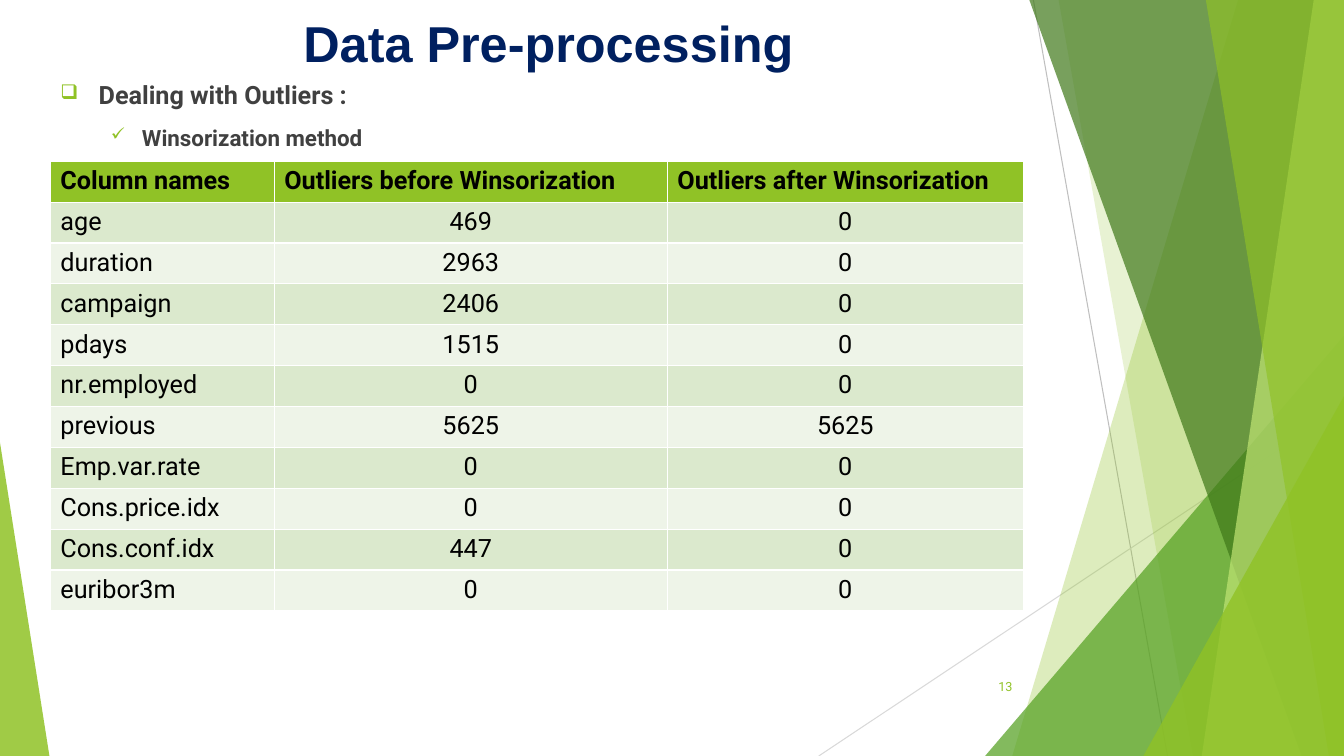
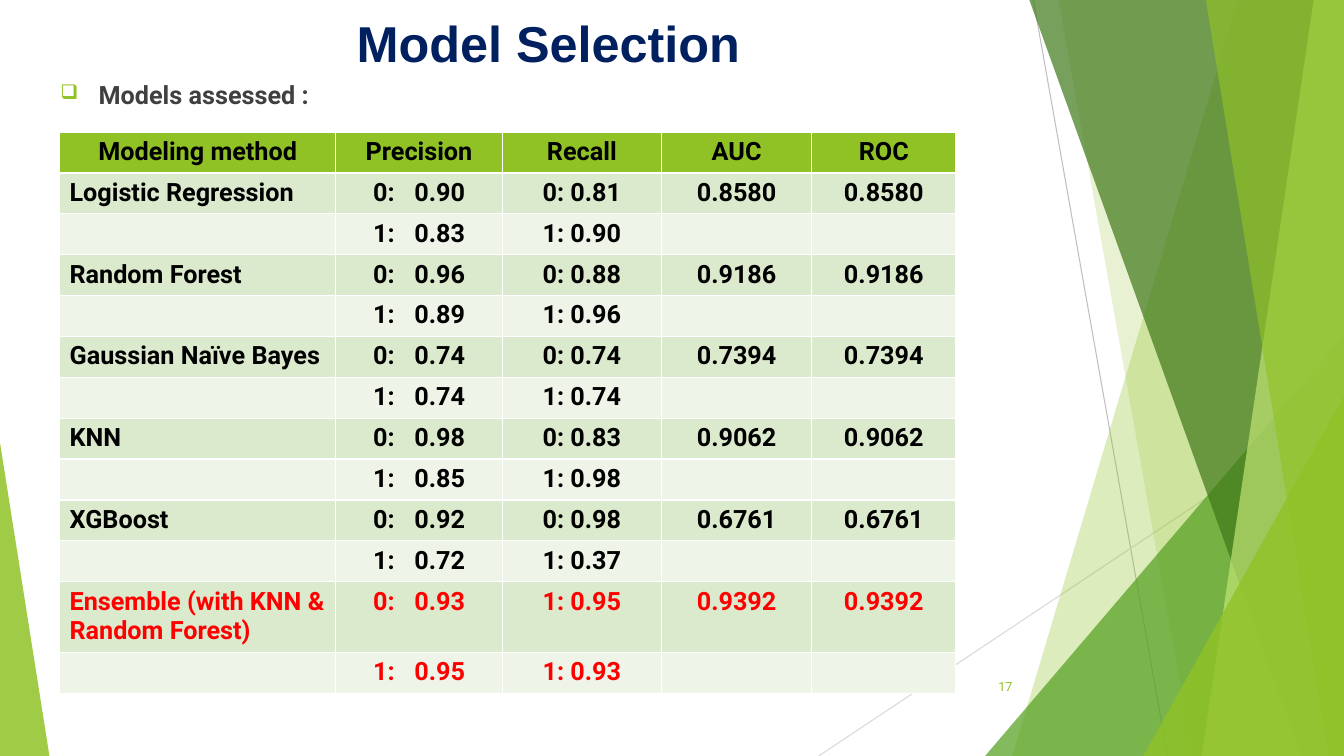
from lxml.etree import SubElement as Sub
from pptx import Presentation
from pptx.dml.color import RGBColor
from pptx.enum.shapes import MSO_CONNECTOR as CONN, MSO_SHAPE as SHAPE
from pptx.enum.text import MSO_ANCHOR as ANCHOR, PP_ALIGN as ALIGN
from pptx.oxml.ns import qn
from pptx.util import Inches, Pt

# Colours
LIME = RGBColor(0x90, 0xC2, 0x26)
GREEN = RGBColor(0x54, 0xA0, 0x21)
FOREST = RGBColor(0x3F, 0x78, 0x19)
PALE_LIME = RGBColor(0xC0, 0xE4, 0x74)
SILVER = RGBColor(0xBF, 0xBF, 0xBF)
LIGHT_GREY = RGBColor(0xD9, 0xD9, 0xD9)
NAVY = RGBColor(0x00, 0x20, 0x60)
DARK_GREY = RGBColor(0x40, 0x40, 0x40)
BLACK = RGBColor(0, 0, 0)
RED = RGBColor(0xFF, 0, 0)
ROW_FILLS = [RGBColor(0xEE, 0xF4, 0xE8), RGBColor(0xDB, 0xE9, 0xCD)]

# Text formats
TITLE = dict(size=Pt(36), name="Arial", bold=True)
HEADING = dict(size=Pt(18), name="Roboto", bold=True)
SUBHEADING = dict(size=Pt(16), name="Roboto", bold=True)
PLAIN = dict(size=Pt(18), name="Roboto", bold=False)
NUMBER = dict(size=Pt(9), name="Roboto")

# Bullet levels: character, left margin, hanging indent, format
LEVELS = [("❑", 0.38, 0.38, HEADING), ("✓", 0.81, 0.31, SUBHEADING)]

# Backdrop, in percent of the slide: lines run from x, y to x, y
LINES = [(76.89, 0, 86.87, 100, SILVER), (100, 53.73, 60.92, 100, LIGHT_GREY)]
# band: top x and bottom x; right and left: inner corner x and apex y
PANES = [
    ("band", 92.12, 75.32, LIME, 30),
    ("band", 78.77, 88.75, LIME, 20),
    ("right", 73.3, 44.4, GREEN, 72),
    ("band", 76.59, 96.85, FOREST, 70),
    ("band", 97.75, 89.42, PALE_LIME, 70),
    ("band", 89.72, 98.87, LIME, 65),
    ("right", 85.07, 52.4, LIME, 80),
    ("left", 3.68, 58.53, LIME, 85),
]
ROW_H = 5.41

# Table contents
outliers = [
    ("Column names", "Outliers before Winsorization", "Outliers after Winsorization"),
    ("age", "469", "0"),
    ("duration", "2963", "0"),
    ("campaign", "2406", "0"),
    ("pdays", "1515", "0"),
    ("nr.employed", "0", "0"),
    ("previous", "5625", "5625"),
    ("Emp.var.rate", "0", "0"),
    ("Cons.price.idx", "0", "0"),
    ("Cons.conf.idx", "447", "0"),
    ("euribor3m", "0", "0"),
]
models = [("Modeling method", "Precision", "Recall", "AUC", "ROC")]
for name, prec_0, prec_1, recall_a, recall_b, score in [
    ("Logistic Regression", "0.90", "0.83", "0: 0.81", "1: 0.90", "0.8580"),
    ("Random Forest", "0.96", "0.89", "0: 0.88", "1: 0.96", "0.9186"),
    ("Gaussian Naïve Bayes", "0.74", "0.74", "0: 0.74", "1: 0.74", "0.7394"),
    ("KNN", "0.98", "0.85", "0: 0.83", "1: 0.98", "0.9062"),
    ("XGBoost", "0.92", "0.72", "0: 0.98", "1: 0.37", "0.6761"),
    ("Ensemble (with KNN & Random Forest)", "0.93", "0.95", "1: 0.95", "1: 0.93", "0.9392"),
]:
    models.append((name, "0:\t" + prec_0, recall_a, score, score))
    models.append(("", "1:\t" + prec_1, recall_b, "", ""))

SLIDES = [
    dict(title="Data Pre-processing", number="13",
         bullets=["Dealing with Outliers :", "Winsorization method"],
         rows=outliers, left=3.75, top=21.33, cols=[16.65, 29.26, 26.48],
         head_align=ALIGN.LEFT, body=PLAIN, red_from=len(outliers)),
    dict(title="Model Selection", number="17", bullets=["Models assessed :"],
         rows=models, left=4.43, top=17.47,
         cols=[20.56, 12.38, 11.85, 11.18, 10.73],
         head_align=ALIGN.CENTER, body=HEADING, red_from=len(models) - 2),
]

prs = Presentation()
prs.slide_width, prs.slide_height = Inches(13.33), Inches(7.5)


def share(*percents):
    """Turn alternating x and y percentages into slide lengths."""
    sides = (prs.slide_width, prs.slide_height)
    return [int(sides[i % 2] * v / 100) for i, v in enumerate(percents)]


def write(p, text, fmt, colour, align):
    p.alignment = align
    r = p.add_run()
    r.text = text
    for key, value in fmt.items():
        setattr(r.font, key, value)
    r.font.color.rgb = colour


for page in SLIDES:
    s = prs.slides.add_slide(prs.slide_layouts[6])

    # Backdrop lines
    for x1, y1, x2, y2, colour in LINES:
        ln = s.shapes.add_connector(CONN.STRAIGHT, *share(x1, y1, x2, y2))
        ln.line.color.rgb, ln.line.width = colour, Pt(0.75)
        Sub(ln._element.spPr, qn("a:effectLst"))

    # Translucent panes
    for kind, a, b, colour, opacity in PANES:
        if kind == "band":
            fb = s.shapes.build_freeform(*share(a, 0))
            corners = [share(100, 0), share(100, 100), share(b, 100)]
            fb.add_line_segments(corners, close=True)
            sp = fb.convert_to_shape()
        else:
            x, w = (a, 100 - a) if kind == "right" else (0, a)
            sp = s.shapes.add_shape(SHAPE.ISOSCELES_TRIANGLE, *share(x, b, w, 100 - b))
            sp.adjustments[0] = 1 if kind == "right" else 0
        sp.shadow.inherit = False
        sp.fill.solid()
        sp.fill.fore_color.rgb = colour
        sp.line.fill.background()
        clr = sp._element.spPr.find(qn("a:solidFill"))[0]
        Sub(clr, qn("a:alpha"), val=str(opacity * 1000))

    # Title and slide number
    for area, text, fmt, colour, align in [
        ((5.55, 0.53, 70.52, 10.27), page["title"], TITLE, NAVY, ALIGN.CENTER),
        ((70.44, 88.13, 5.63, 5.33), page["number"], NUMBER, LIME, ALIGN.RIGHT),
    ]:
        tf = s.shapes.add_textbox(*share(*area)).text_frame
        tf.word_wrap, tf.vertical_anchor = True, ANCHOR.MIDDLE
        write(tf.paragraphs[0], text, fmt, colour, align)

    # Bullets
    tf = s.shapes.add_textbox(*share(3.75, 9.87, 74.49, 80.4)).text_frame
    tf.word_wrap = True
    for i, text in enumerate(page["bullets"]):
        char, margin, hang, fmt = LEVELS[i]
        p = tf.paragraphs[0] if i == 0 else tf.add_paragraph()
        p.level, p.space_before = i, Pt(10)
        write(p, text, fmt, DARK_GREY, ALIGN.JUSTIFY)
        pPr = p._p.get_or_add_pPr()
        pPr.set("marL", str(Inches(margin)))
        pPr.set("indent", str(-Inches(hang)))
        Sub(Sub(pPr, qn("a:buClr")), qn("a:srgbClr"), val=str(LIME))
        Sub(pPr, qn("a:buSzPct"), val="80000")
        Sub(pPr, qn("a:buChar"), char=char)

    # Table
    rows, cols = page["rows"], page["cols"]
    area = share(page["left"], page["top"], sum(cols), ROW_H * len(rows))
    table = s.shapes.add_table(len(rows), len(cols), *area).table
    for column, width in zip(table.columns, cols):
        column.width = share(width)[0]
    for i, row in enumerate(rows):
        for j, text in enumerate(row):
            cell = table.cell(i, j)
            cell.fill.solid()
            cell.fill.fore_color.rgb = ROW_FILLS[i % 2] if i else LIME
            if not text:
                continue
            p = cell.text_frame.paragraphs[0]
            align = ALIGN.CENTER if j else ALIGN.LEFT
            if i == 0:
                align = page["head_align"]
            if "\t" in text:  # class label, then its value at a tab stop
                align, cell.margin_left = ALIGN.LEFT, Inches(0.37)
                tabs = Sub(p._p.get_or_add_pPr(), qn("a:tabLst"))
                Sub(tabs, qn("a:tab"), pos=str(Inches(0.41)), algn="l")
            colour = RED if i >= page["red_from"] else BLACK
            write(p, text, page["body"] if i else HEADING, colour, align)

prs.save("out.pptx")
